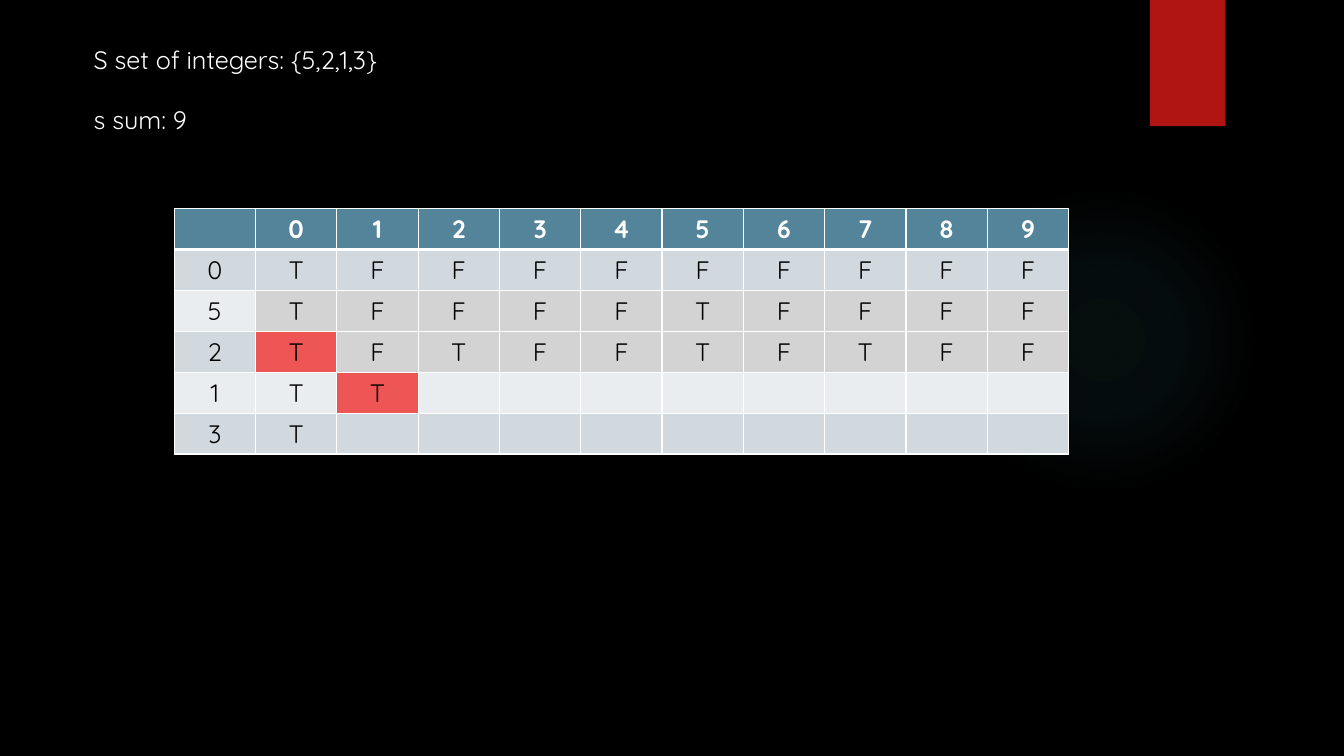
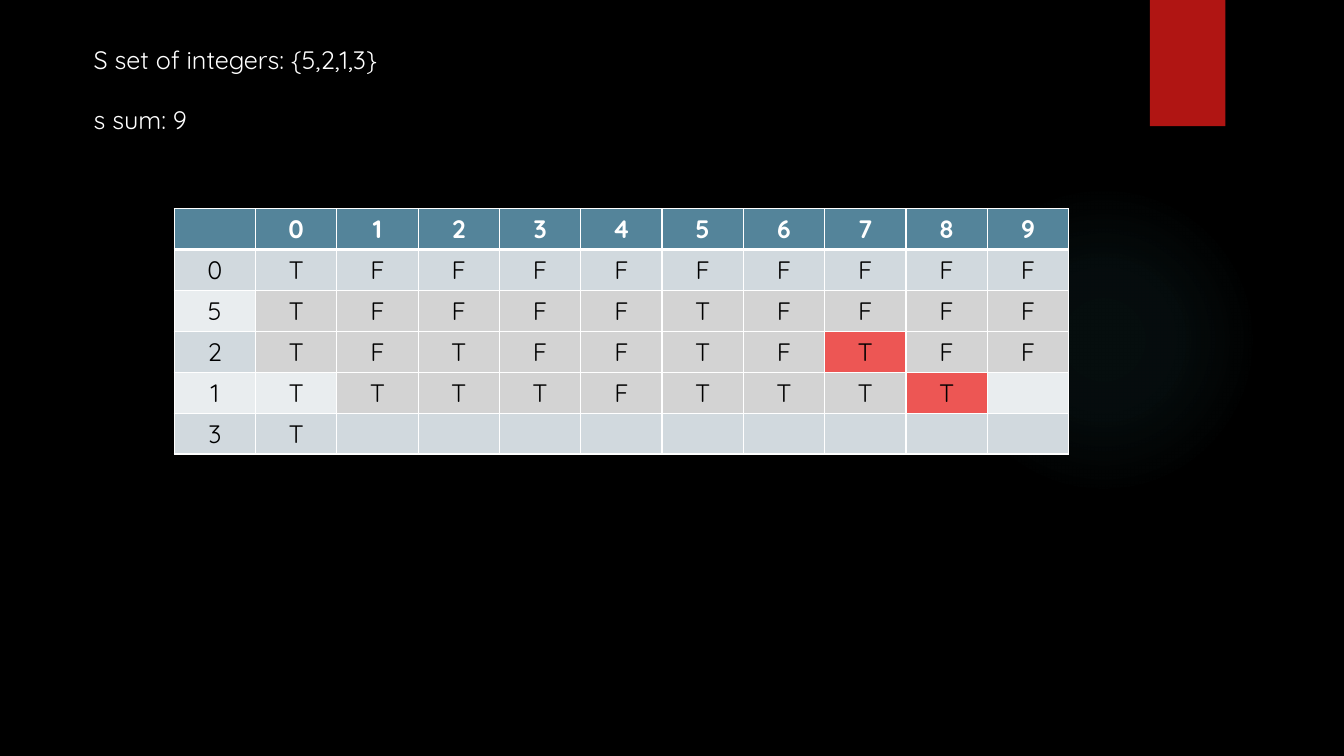
from dataclasses import dataclass

from pptx import Presentation
from pptx.dml.color import RGBColor as RGB
from pptx.enum.shapes import MSO_SHAPE as Preset
from pptx.enum.text import MSO_AUTO_SIZE as AutoSize, PP_ALIGN as Align
from pptx.oxml import parse_xml
from pptx.oxml.ns import nsdecls
from pptx.util import Cm, Pt


@dataclass(frozen=True)
class Theme:
    font: str = "Quicksand"
    size: Pt = Pt(18)
    background: RGB = RGB(0x00, 0x00, 0x00)
    light: RGB = RGB(0xFF, 0xFF, 0xFF)
    dark: RGB = RGB(0x00, 0x00, 0x00)
    ribbon: RGB = RGB(0xB0, 0x15, 0x13)
    glow: RGB = RGB(0x50, 0xB9, 0xC1)
    header: RGB = RGB(0x54, 0x84, 0x9A)
    bands: tuple = (RGB(0xE9, 0xED, 0xEF), RGB(0xD1, 0xD9, 0xDE))
    computed: RGB = RGB(0xD3, 0xD3, 0xD3)
    highlight: RGB = RGB(0xED, 0x56, 0x54)


theme = Theme()


def style_paragraph(paragraph, color, bold=False):
    font = paragraph.font
    font.name, font.size, font.bold = theme.font, theme.size, bold
    font.color.rgb = color


def set_borders(cell, bottom_width):
    properties = cell._tc.get_or_add_tcPr()
    for side, width in (("L", 1), ("R", 1), ("T", 1), ("B", bottom_width)):
        properties.append(parse_xml(
            f'<a:ln{side} {nsdecls("a")} w="{Pt(width)}"><a:solidFill>'
            f'<a:srgbClr val="{theme.light}"/></a:solidFill></a:ln{side}>'))


# Content: each step gives the row for item 1 and the highlighted cells
header = ["", *map(str, range(10))]
problem = ["S set of integers: {5,2,1,3}", "s sum: 9"]
last_complete_row = 3
steps = [
    ("TT", {(3, 1), (4, 2)}),
    ("TTTTFTTTT", {(3, 8), (4, 9)}),
]
column_width, row_height = Cm(2.05), Cm(1.03)

presentation = Presentation()
presentation.slide_width, presentation.slide_height = Cm(33.87), Cm(19.05)
master_fill = presentation.slide_master.background.fill
master_fill.solid()
master_fill.fore_color.rgb = theme.background
blank_layout = presentation.slide_layouts[6]

for current_row, highlighted in steps:
    slide = presentation.slides.add_slide(blank_layout)

    # Soft round glow
    glow = slide.shapes.add_shape(Preset.OVAL, Cm(23.9), Cm(4.65), Cm(7.82), Cm(7.82))
    glow.shadow.inherit = False
    glow.line.fill.background()
    stops = "".join(
        f'<a:gs pos="{position * 1000}"><a:srgbClr val="{theme.glow}">'
        f'<a:alpha val="{alpha * 1000}"/></a:srgbClr></a:gs>'
        for position, alpha in ((0, 7), (36, 6), (69, 0)))
    glow.element.spPr.prstGeom.addnext(parse_xml(
        f'<a:gradFill {nsdecls("a")}><a:gsLst>{stops}</a:gsLst><a:path path="circle">'
        '<a:fillToRect l="50000" t="50000" r="50000" b="50000"/></a:path></a:gradFill>'))

    # Red ribbon
    ribbon = slide.shapes.add_shape(Preset.RECTANGLE, Cm(28.98), 0, Cm(1.9), Cm(3.18))
    ribbon.shadow.inherit = False
    ribbon.line.fill.background()
    ribbon.fill.solid()
    ribbon.fill.fore_color.rgb = theme.ribbon

    # Problem statement
    statement = slide.shapes.add_textbox(Cm(2.11), Cm(0.99), Cm(8.1), Cm(2.57))
    frame = statement.text_frame
    frame.word_wrap = False
    frame.auto_size = AutoSize.SHAPE_TO_FIT_TEXT
    frame.text = "\n".join(problem)
    for paragraph in frame.paragraphs:
        style_paragraph(paragraph, theme.light)
    frame.paragraphs[1].space_before = Pt(21)

    # Table of reachable sums
    rows = [header, "0TFFFFFFFFF", "5TFFFFTFFFF", "2TFTFFTFTFF", "1" + current_row, "3T"]
    table = slide.shapes.add_table(
        len(rows), len(header), Cm(4.39), Cm(5.26),
        column_width * len(header), row_height * len(rows)).table
    for row_index, values in enumerate(rows):
        for column_index in range(len(header)):
            value = values[column_index] if column_index < len(values) else ""
            is_header = row_index == 0
            is_computed = (row_index > 1 and column_index > 0 and value
                           and (row_index <= last_complete_row or column_index > 1))
            if is_header:
                color = theme.header
            elif (row_index, column_index) in highlighted:
                color = theme.highlight
            elif is_computed:
                color = theme.computed
            else:
                color = theme.bands[row_index % 2]

            cell = table.cell(row_index, column_index)
            set_borders(cell, bottom_width=3 if is_header else 1)
            cell.fill.solid()
            cell.fill.fore_color.rgb = color
            cell.text = value
            paragraph = cell.text_frame.paragraphs[0]
            paragraph.alignment = Align.CENTER
            style_paragraph(paragraph, theme.light if is_header else theme.dark, is_header)

presentation.save("out.pptx")
